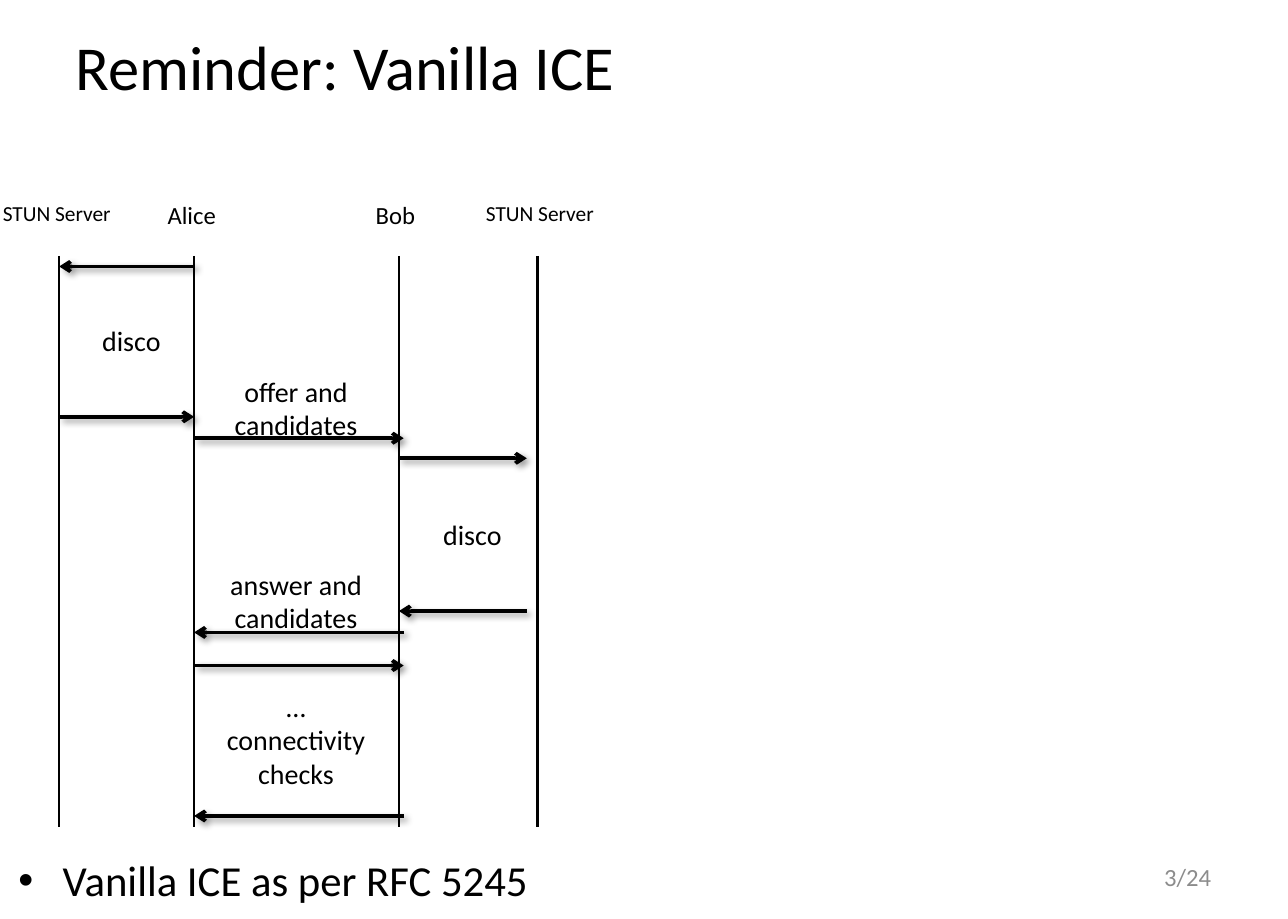
import pptx
import pptx.util
import pptx.dml.color
import pptx.enum.shapes
import pptx.enum.text
import pptx.oxml
import pptx.oxml.ns

Inches = pptx.util.Inches
ALIGN = pptx.enum.text.PP_ALIGN
ANCHOR = pptx.enum.text.MSO_ANCHOR
NS = pptx.oxml.ns.nsdecls("a")
LABEL = {"size": 17, "color": "000000", "align": ALIGN.CENTER, "anchor": ANCHOR.TOP}
SHADOW = ('<a:outerShdw blurRad="50800" dist="38100" dir="2700000" algn="tl" rotWithShape="0">'
          '<a:srgbClr val="000000"><a:alpha val="40000"/></a:srgbClr></a:outerShdw>')


def color(value):
    """Return the RGB colour of a hex string."""
    return pptx.dml.color.RGBColor.from_string(value)


def write(s, text, **changes):
    """Fill a shape with one formatted paragraph per line of text."""
    style = {**LABEL, **changes}
    tf = s.text_frame
    frame = {"word_wrap": True, "auto_size": pptx.enum.text.MSO_AUTO_SIZE.NONE,
             "vertical_anchor": style["anchor"],
             "margin_left": Inches(0.1), "margin_right": Inches(0.1),
             "margin_top": Inches(0.05), "margin_bottom": Inches(0.05)}
    for name, value in frame.items():
        setattr(tf, name, value)
    tf.text = text
    font = {"name": "Calibri", "size": pptx.util.Pt(style["size"])}
    for p in tf.paragraphs:
        p.alignment = style["align"]
        p.space_before = pptx.util.Pt(0)
        for r in p.runs:
            for name, value in font.items():
                setattr(r.font, name, value)
            r.font.color.rgb = color(style["color"])


def place(s, left, top, width, height):
    """Move and size a shape, in inches."""
    box = {"left": left, "top": top, "width": width, "height": height}
    for name, value in box.items():
        setattr(s, name, Inches(value))


def label(slide, box, text, **changes):
    """Add a text box."""
    s = slide.shapes.add_textbox(*map(Inches, box))
    write(s, text, **changes)


def line(slide, x1, y1, x2, y2, width, arrow=False):
    """Add a black line, with a head and a shadow if it is an arrow."""
    s = slide.shapes.add_connector(pptx.enum.shapes.MSO_CONNECTOR.STRAIGHT,
                                   *map(Inches, (x1, y1, x2, y2)))
    s.line.color.rgb = color("000000")
    s.line.width = pptx.util.Pt(width)
    if arrow:
        s.line._get_or_add_ln().append(pptx.oxml.parse_xml(f'<a:tailEnd {NS} type="arrow"/>'))
    effects = SHADOW if arrow else ""
    s._element.spPr.append(pptx.oxml.parse_xml(f"<a:effectLst {NS}>{effects}</a:effectLst>"))


def heading(slide, box):
    """Place the slide title."""
    place(slide.shapes.title, *box)
    write(slide.shapes.title, "Reminder: Vanilla ICE", size=38,
          align=ALIGN.JUSTIFY, anchor=ANCHOR.MIDDLE)


def caption(slide, box):
    """Place the diagram caption in the body placeholder."""
    s = slide.placeholders[1]
    place(s, *box)
    s.fill.solid()
    s.fill.fore_color.rgb = color("FFFFFF")
    s.text_frame.text = ""
    pPr = s.text_frame.paragraphs[0]._p.get_or_add_pPr()
    pPr.set("marL", "0")
    pPr.set("indent", "0")
    pPr.append(pptx.oxml.parse_xml(f"<a:buNone {NS}/>"))
    write(s, "Vanilla ICE as per RFC 5245", size=26)


def sequence(slide, left, top, height):
    """Draw the participants, their lifelines and the messages between them."""
    stun_a, alice, bob, stun_b = (left + x for x in (0.5, 1.64, 3.37, 4.54))
    bob_end, stun_end = bob + 0.04, stun_b - 0.09
    participants = [(stun_a, -0.02, "STUN Server", 13), (alice, -0.02, "Alice", 15),
                    (bob, -0.03, "Bob", 15), (stun_b, 0.02, "STUN Server", 13)]
    for x, shift, name, size in participants:
        line(slide, x, top + 0.52, x, top + height, 1.5)
        label(slide, (x + shift - 0.57, top, 1.14, 0.35), name, size=size)

    messages = [(alice, stun_a, 0.61), (stun_a, alice, 1.88), (alice, bob_end, 2.06),
                (bob, stun_end, 2.23), (stun_end, bob, 3.52), (bob_end, alice, 3.7),
                (alice, bob_end, 3.98), (bob_end, alice, 5.25)]
    for start, end, y in messages:
        line(slide, start, top + y, end, top + y, 2.25, arrow=True)

    notes = [(1.11, 1.04, 1.58, 0.39, "disco"), (3.99, 2.68, 1.47, 0.39, "disco"),
             (2.5, 1.47, 1.39, 0.67, "offer and candidates"),
             (2.5, 3.1, 1.39, 0.67, "answer and candidates"),
             (2.5, 4.13, 1.71, 0.96, "…\nconnectivity checks")]
    for center, y, width, depth, text in notes:
        label(slide, (left + center - width / 2, top + y, width, depth), text)


def page_number(slide, box):
    """Add the page count."""
    label(slide, box, "3/24", size=15, color="8C8C8C", align=ALIGN.RIGHT, anchor=ANCHOR.MIDDLE)


def main():
    """Build and save the slide."""
    prs = pptx.Presentation()
    prs.slide_width, prs.slide_height = Inches(10.88), Inches(7.76)
    slide = prs.slides.add_slide(prs.slide_layouts[1])
    heading(slide, (0.54, -0.09, 9.79, 1.29))
    sequence(slide, 0, 1.64, 5.34)
    caption(slide, (0, 7.16, 4.62, 0.6))
    page_number(slide, (7.79, 7.2, 2.54, 0.41))
    prs.save("out.pptx")


if __name__ == "__main__":
    main()
